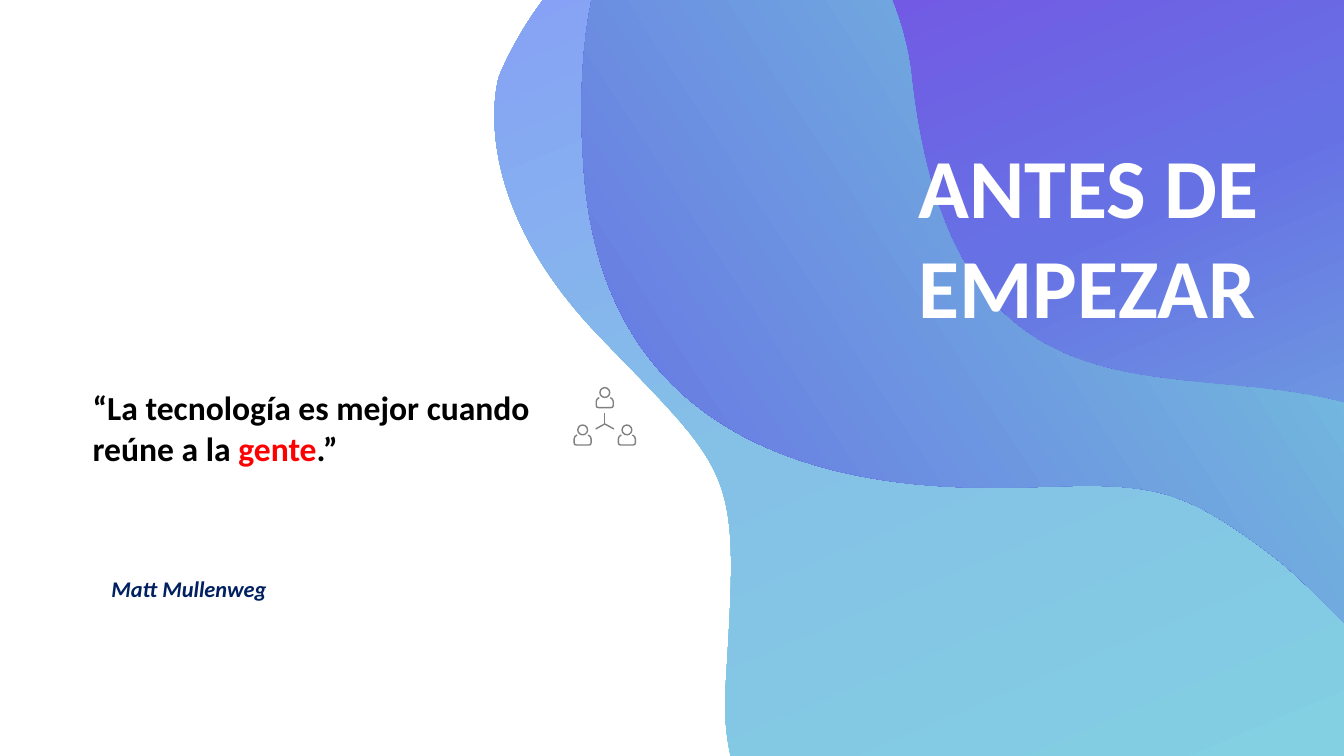
from dataclasses import dataclass
from math import cos, radians, sin

from lxml import etree
from pptx import Presentation
from pptx.dml.color import RGBColor
from pptx.enum.shapes import MSO_CONNECTOR, MSO_SHAPE
from pptx.enum.text import MSO_AUTO_SIZE
from pptx.oxml.ns import qn
from pptx.util import Pt

OVAL = MSO_SHAPE.OVAL
STRAIGHT = MSO_CONNECTOR.STRAIGHT
GROW = MSO_AUTO_SIZE.SHAPE_TO_FIT_TEXT
FONT = "Calibri"
GRAY = "808080"
LINE_WIDTH = 1
WAVE_ROTATION = 157
STEPS = 32

Point = tuple[float, float]
Curve = tuple[float, float, float, float, float, float]


@dataclass
class Wave:
    start: Point
    curves: list[Curve]
    stops: list[tuple[int, str]]
    angle: int  # clockwise, before rotation


@dataclass
class Run:
    text: str
    color: str


@dataclass
class Label:
    left: float
    top: float
    width: float
    height: float
    size: float
    runs: list[Run]
    italic: bool = False
    inset: tuple[float, float] = (0, 0)


WAVES = [
    Wave((662.4, 76.3), [
        (699.1, 400.3, 928.8, 226.8, 1056.2, 357.1),
        (1184.4, 486.7, 1138.3, 583.9, 1100.2, 604.8),
        (1062, 625.7, 1028.9, 623.5, 990, 566.6),
        (950.4, 509, 830.2, 573.1, 747.4, 616.3),
        (665.3, 659.5, 508.3, 643, 518.4, 488.9),
        (527.8, 334.1, 527, 342.7, 428.4, 240.5),
        (329.8, 138.2, 356.4, 54.7, 356.4, 54.7),
        (356.4, 54.7, 409, -82.8, 530.6, -70.6),
        (653, -58.3, 662.4, 76.3, 662.4, 76.3),
    ], [(0, "80DEDE"), (54, "85C1E7"), (100, "878CFF")], 90),
    Wave((527, -133.9), [
        (527, -133.9, 400.3, -114.5, 416.9, 120.2),
        (432.7, 354.2, 661, 350.6, 742.3, 347.8),
        (823.7, 344.9, 843.8, 347.8, 908.6, 396.7),
        (973.4, 446.4, 1017.4, 543.6, 1100.2, 450.7),
        (1183, 357.1, 1026.7, 257.8, 1005.1, 216.7),
        (983.5, 175.7, 1023.8, 71.3, 987.1, 31),
        (951.1, -8.6, 925.9, -57.6, 755.3, -43.2),
        (755.3, -43.2, 671.8, -15.8, 607.7, -105.1),
        (607.7, -105.1, 567.4, -154.1, 527, -133.9),
    ], [(0, "7CEFD8"), (51, "6672E4"), (100, "882BE5")], 90),
    Wave((416.9, 120.2), [
        (409, 13.7, 431.3, -48.2, 457.2, -85),
        (475.9, -91.4, 496.1, -93.6, 519.1, -92.2),
        (640.8, -79.9, 650.9, 54.7, 650.9, 54.7),
        (687.6, 378.7, 917.3, 205.2, 1044.7, 335.5),
        (1079.3, 370.1, 1100.9, 403.2, 1113.8, 432),
        (1110.2, 438.5, 1105.9, 444.2, 1100.9, 450),
        (1017.4, 543.6, 973.4, 446.4, 908.6, 396.7),
        (843.8, 347.8, 823.7, 344.9, 742.3, 347.8),
        (661, 350.6, 432.7, 354.2, 416.9, 120.2),
    ], [(0, "882BE5"), (19, "6672E4"), (100, "7CEFD8")], 170),
]

# Network icon: head centres, body outline around a head centre, spokes
HEADS = [(432, 280.4), (416.2, 307.1), (447.8, 307.1)]
HEAD_RADIUS = 3.5
BODY = [
    (-4, 3.6), (-5.3, 4.3), (-6.1, 5.2), (-6.1, 6.5),
    (-6.1, 7), (-6.1, 8.5), (-6.1, 9),
    (-6.1, 10.3), (-5.6, 10.8), (-4.3, 10.8),
    (-2, 10.8), (2, 10.8), (4.3, 10.8),
    (5.6, 10.8), (6.1, 10.3), (6.1, 9),
    (6.1, 8.5), (6.1, 7), (6.1, 6.5),
    (6.1, 5.2), (5.3, 4.3), (4, 3.6),
]
HUB = (432, 302.8)
SPOKE_ENDS = [(432, 295.2), (425.5, 306.4), (438.5, 306.4)]

QUOTE = Label(66.2, 276.5, 371.5, 97.2, 24, [
    Run("“La tecnología es mejor cuando reúne a la ", "000000"),
    Run("gente", "FF0000"),
    Run(".”", "000000"),
])
AUTHOR = Label(79.5, 410.8, 278.6, 19.4, 16, [Run("Matt Mullenweg", "002060")], italic=True)
TITLE = Label(649, 92.2, 279.4, 152.6, 60, [Run("ANTES DE EMPEZAR", "FFFFFF")], inset=(7.2, 3.6))


def rgb(color: str) -> RGBColor:
    return RGBColor.from_string(color)


def rotate(point: Point, degrees: float) -> Point:
    x, y = point
    c, n = cos(radians(degrees)), sin(radians(degrees))
    return x * c - y * n, x * n + y * c


def trace(points: list[Point]) -> list[Point]:
    """Points along a chain of cubic curves, to find its extent."""
    traced = [points[0]]
    for i in range(0, len(points) - 1, 3):
        for step in range(1, STEPS + 1):
            t = step / STEPS
            weights = ((1 - t)**3, 3 * t * (1 - t)**2, 3 * t * t * (1 - t), t**3)
            curve = list(zip(weights, points[i:i + 4]))
            traced.append((sum(w * p[0] for w, p in curve), sum(w * p[1] for w, p in curve)))
    return traced


def add_curves(s, points: list[Point], close: bool):
    """Freeform of a start point followed by three points per cubic curve."""
    extent = [(Pt(x), Pt(y)) for x, y in trace(points)]
    builder = s.shapes.build_freeform(*extent[0])
    builder.add_line_segments(extent[1:], close=close)
    sp = builder.convert_to_shape()
    sp.shadow.inherit = False
    outline = next(sp.element.iter(qn("a:path")))
    for child in list(outline):
        outline.remove(child)
    for i, (x, y) in enumerate(points):
        if i == 0:
            segment = etree.SubElement(outline, qn("a:moveTo"))
        elif i % 3 == 1:
            segment = etree.SubElement(outline, qn("a:cubicBezTo"))
        etree.SubElement(segment, qn("a:pt"), x=str(Pt(x) - sp.left), y=str(Pt(y) - sp.top))
    if close:
        etree.SubElement(outline, qn("a:close"))
    return sp


def add_wave(s, wave: Wave) -> None:
    points = [wave.start] + [c[i:i + 2] for c in wave.curves for i in (0, 2, 4)]
    sp = add_curves(s, [rotate(p, -WAVE_ROTATION) for p in points], True)
    # Turn the box about its own centre, then put that centre in place
    x, y = rotate((sp.left + sp.width / 2, sp.top + sp.height / 2), WAVE_ROTATION)
    sp.left, sp.top = round(x - sp.width / 2), round(y - sp.height / 2)
    sp.rotation = WAVE_ROTATION
    sp.line.fill.background()
    sp.fill.gradient()
    sp.fill.gradient_angle = 360 - wave.angle
    stops = sp.element.spPr.find(qn("a:gradFill")).find(qn("a:gsLst"))
    for stop in list(stops):
        stops.remove(stop)
    for position, color in wave.stops:
        stop = etree.SubElement(stops, qn("a:gs"), pos=str(position * 1000))
        etree.SubElement(stop, qn("a:srgbClr"), val=color)


def style_stroke(sp) -> None:
    sp.line.color.rgb = rgb(GRAY)
    sp.line.width = Pt(LINE_WIDTH)


def add_person(s, x: float, y: float) -> None:
    size = Pt(2 * HEAD_RADIUS)
    head = s.shapes.add_shape(OVAL, Pt(x - HEAD_RADIUS), Pt(y - HEAD_RADIUS), size, size)
    head.shadow.inherit = False
    body = add_curves(s, [(x + dx, y + dy) for dx, dy in BODY], False)
    for sp in (head, body):
        sp.fill.background()
        style_stroke(sp)


def add_spoke(s, end: Point) -> None:
    spoke = s.shapes.add_connector(STRAIGHT, *(Pt(v) for v in HUB + end))
    style_stroke(spoke)
    etree.SubElement(spoke.element.spPr, qn("a:effectLst"))


def add_label(s, label: Label) -> None:
    box = s.shapes.add_textbox(Pt(label.left), Pt(label.top), Pt(label.width), Pt(label.height))
    tf = box.text_frame
    tf.word_wrap, tf.auto_size = True, GROW
    tf.margin_left = tf.margin_right = Pt(label.inset[0])
    tf.margin_top = tf.margin_bottom = Pt(label.inset[1])
    p = tf.paragraphs[0]
    for run in label.runs:
        r = p.add_run()
        r.text = run.text
        r.font.name, r.font.size = FONT, Pt(label.size)
        r.font.bold, r.font.italic = True, label.italic
        r.font.color.rgb = rgb(run.color)


prs = Presentation()
prs.slide_width, prs.slide_height = Pt(960), Pt(540)
s = prs.slides.add_slide(prs.slide_layouts[6])
for wave in WAVES:
    add_wave(s, wave)
for label in (QUOTE, AUTHOR):
    add_label(s, label)
for head in HEADS:
    add_person(s, *head)
for end in SPOKE_ENDS:
    add_spoke(s, end)
add_label(s, TITLE)
prs.save("out.pptx")
